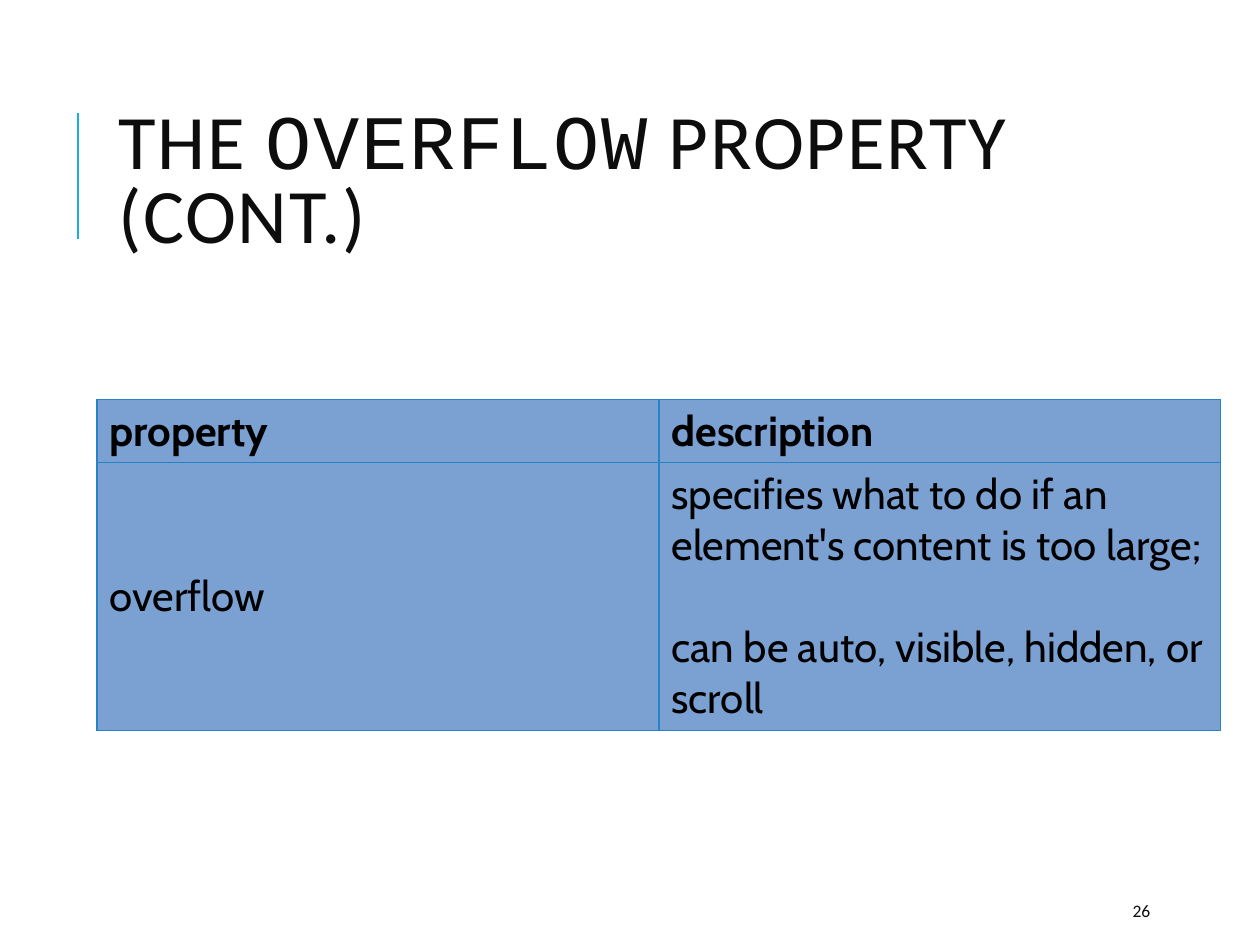
"""Build the slide on the CSS overflow property."""
from lxml.etree import SubElement
from pptx import Presentation
from pptx.dml.color import RGBColor
from pptx.enum.shapes import MSO_CONNECTOR
from pptx.enum.text import MSO_ANCHOR
from pptx.oxml.ns import qn
from pptx.util import Inches, Pt

TITLE = [("THE ", "Calibri"), ("OVERFLOW", "Courier New"), (" PROPERTY (CONT.)", "Calibri")]
PAGE_NUMBER = "26"
ROWS = [
    ("property", "description"),
    ("overflow", "specifies what to do if an element's content is too large;\n"
                 "can be auto, visible, hidden, or scroll"),
]
COLUMN_WIDTH = 4.46
ROW_HEIGHTS = [0.5, 2.13]
INK, BLACK, ACCENT = "0D0D0D", "000000", "1CADE4"
CELL_FILL, CELL_BORDER = "7BA1D3", "2683C6"


def color(value):
    return RGBColor.from_string(value)


def style(span, font, size, ink, bold=False):
    span.font.name = font
    span.font.size = Pt(size)
    span.font.color.rgb = color(ink)
    span.font.bold = bold


def add_text(page, place, parts, size, spacing=0):
    box = page.shapes.add_textbox(*map(Inches, place))
    frame = box.text_frame
    frame.word_wrap = True
    frame.vertical_anchor = MSO_ANCHOR.MIDDLE
    para = frame.paragraphs[0]
    for text, font in parts:
        span = para.add_run()
        span.text = text
        style(span, font, size, INK)
        span.font._element.set("spc", str(spacing * 100))
    return para


def add_borders(cell):
    properties = cell._tc.get_or_add_tcPr()
    for index, side in enumerate(("lnL", "lnR", "lnT", "lnB")):
        line = properties.makeelement(qn(f"a:{side}"), {"w": str(Pt(0.75))})
        fill = SubElement(line, qn("a:solidFill"))
        SubElement(fill, qn("a:srgbClr"), val=CELL_BORDER)
        properties.insert(index, line)


def fill_cell(cell, text, bold):
    cell.fill.solid()
    cell.fill.fore_color.rgb = color(CELL_FILL)
    add_borders(cell)
    cell.vertical_anchor = MSO_ANCHOR.MIDDLE
    cell.text_frame.text = text
    for index, para in enumerate(cell.text_frame.paragraphs):
        if index:
            para.space_before = Pt(29)
        style(para.runs[0], "Cabin", 24, BLACK, bold)


def add_property_table(page):
    width, height = COLUMN_WIDTH * len(ROWS[0]), sum(ROW_HEIGHTS)
    table = page.shapes.add_table(
        len(ROWS), len(ROWS[0]), Inches(0.77), Inches(3.17), Inches(width), Inches(height)
    ).table
    for column in table.columns:
        column.width = Inches(COLUMN_WIDTH)
    for row_index, texts in enumerate(ROWS):
        table.rows[row_index].height = Inches(ROW_HEIGHTS[row_index])
        for column_index, text in enumerate(texts):
            fill_cell(table.cell(row_index, column_index), text, row_index == 0)


def main():
    deck = Presentation()
    deck.slide_width, deck.slide_height = Inches(10), Inches(7.5)
    page = deck.slides.add_slide(deck.slide_layouts[6])

    rule = page.shapes.add_connector(
        MSO_CONNECTOR.STRAIGHT, Inches(0.62), Inches(1.9), Inches(0.62), Inches(0.9)
    )
    rule.line.color.rgb = color(ACCENT)
    rule.line.width = Pt(1.5)
    SubElement(rule._element.spPr, qn("a:effectLst"))

    title = add_text(page, (0.84, 0.64, 7.97, 1.64), TITLE, 44, spacing=1)
    title.line_spacing = 0.8
    add_text(page, (8.89, 7.08, 0.8, 0.3), [(PAGE_NUMBER, "Calibri")], 10)
    add_property_table(page)
    deck.save("out.pptx")


if __name__ == "__main__":
    main()
